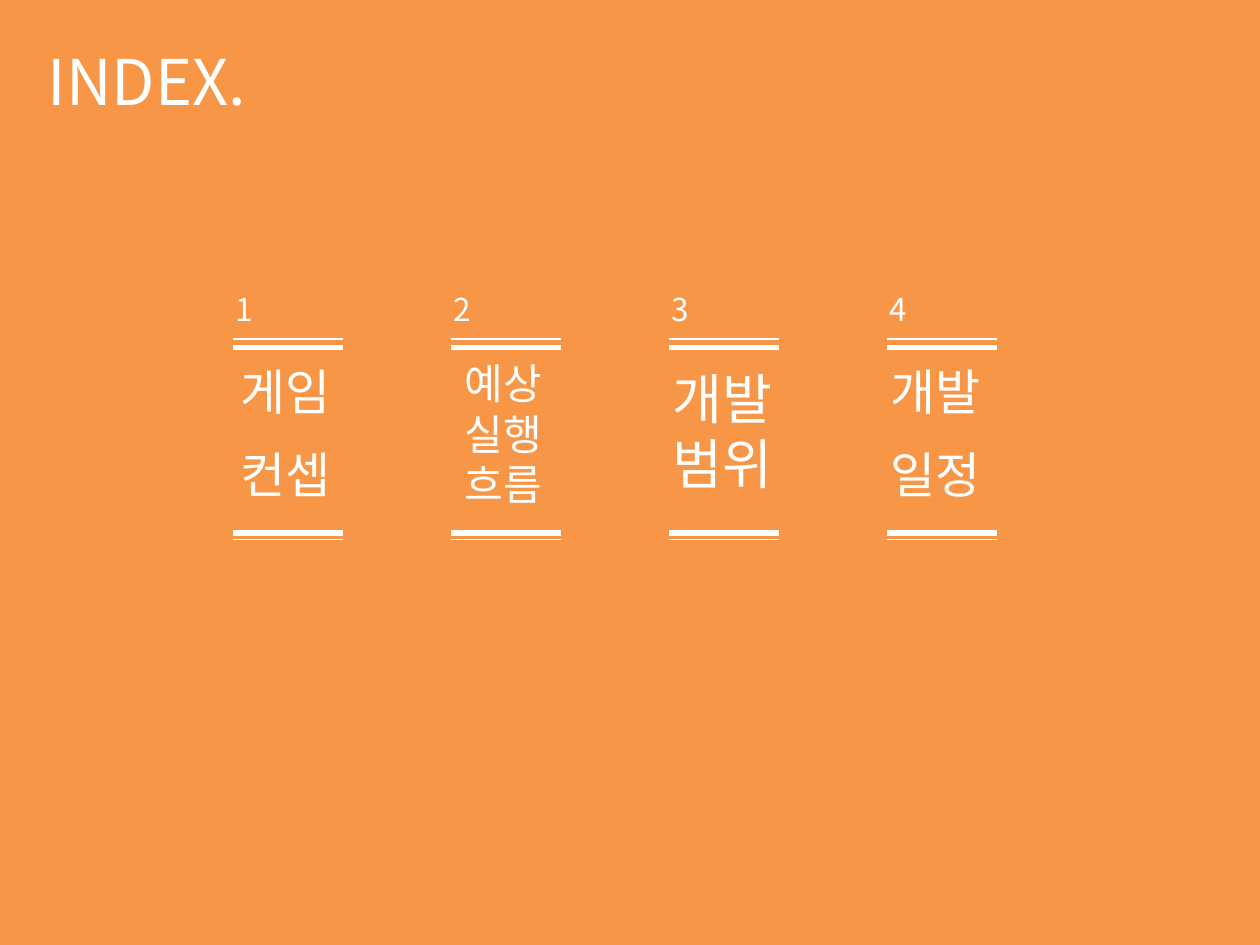
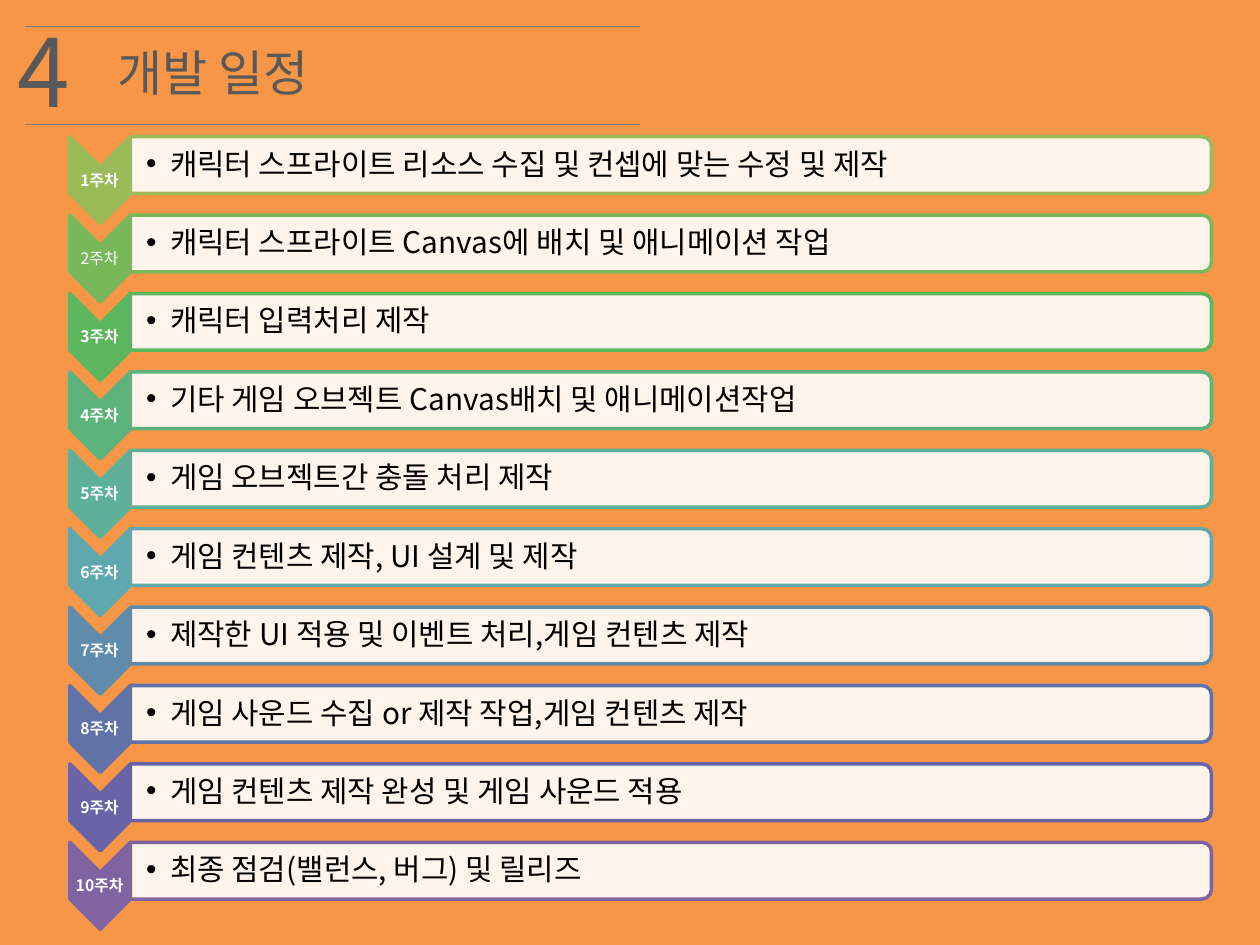
from lxml.etree import SubElement
from pptx import Presentation
from pptx.dml.color import RGBColor
from pptx.enum.shapes import MSO_CONNECTOR, MSO_SHAPE
from pptx.enum.text import MSO_ANCHOR as ANCHOR, MSO_AUTO_SIZE as AUTO_SIZE, PP_ALIGN as ALIGN
from pptx.oxml.ns import qn
from pptx.util import Inches, Pt

FONT = "Noto Sans CJK KR"
LINE_HEIGHT = 1.2
TITLE_ONLY = 5

ORANGE = RGBColor(0xF7, 0x96, 0x46)
WHITE = RGBColor(0xFF, 0xFF, 0xFF)
BLACK = RGBColor(0, 0, 0)
DARK_GRAY = RGBColor(0x59, 0x59, 0x59)
RULE_GRAY = RGBColor(0x80, 0x80, 0x80)

# Lines of the label, text size, left offset from the rules, top, gap between lines
CHAPTERS = [
    (["게임", "컨셉"], 28, -0.04, 2.82, 14),
    (["예상", "실행", "흐름"], 24, 0.01, 2.79, 0),
    (["개발", "범위"], 31, -0.07, 2.85, 0),
    (["개발", "일정"], 28, -0.07, 2.82, 14),
]
CHAPTER_LEFT, CHAPTER_PITCH, CHAPTER_WIDTH = 1.85, 1.73, 0.87
CHAPTER_RULES = [(2.69, 0.75), (2.76, 3), (4.23, 3), (4.28, 0.75)]

WEEKS = [
    ("9BBB59", "캐릭터 스프라이트 리소스 수집 및 컨셉에 맞는 수정 및 제작"),
    ("79B85A", "캐릭터 스프라이트 Canvas에 배치 및 애니메이션 작업"),
    ("5BB65D", "캐릭터 입력처리 제작"),
    ("5CB37C", "기타 게임 오브젝트 Canvas배치 및 애니메이션작업"),
    ("5EB099", "게임 오브젝트간 충돌 처리 제작"),
    ("5FA8AD", "게임 컨텐츠 제작, UI 설계 및 제작"),
    ("608CAB", "제작한 UI 적용 및 이벤트 처리,게임 컨텐츠 제작"),
    ("6172A8", "게임 사운드 수집 or 제작 작업,게임 컨텐츠 제작"),
    ("6A63A5", "게임 컨텐츠 제작 완성 및 게임 사운드 적용"),
    ("8064A2", "최종 점검(밸런스, 버그) 및 릴리즈"),
]
REGULAR_WEEK = 2
WEEK_TOP, WEEK_PITCH = 1.11, 5.6 / 9


def write_text(shape, lines, size, color, bold=False, align=ALIGN.LEFT, gap=0,
               line_height=LINE_HEIGHT, **frame_format):
    """Fill a shape with one paragraph per line; gap is the space between them."""
    frame = shape.text_frame
    frame_values = {"word_wrap": True, "auto_size": AUTO_SIZE.NONE,
                    "vertical_anchor": ANCHOR.TOP, **frame_format}
    for name, value in frame_values.items():
        setattr(frame, name, value)
    for index, line in enumerate(lines):
        paragraph = frame.add_paragraph() if index else frame.paragraphs[0]
        paragraph.alignment = align
        paragraph.line_spacing = Pt(round(size * line_height, 1))
        paragraph.space_before = Pt(gap if index else 0)
        run = paragraph.add_run()
        run.text = line
        run.font.color.rgb = color
        for name, value in {"name": FONT, "size": Pt(size), "bold": bold}.items():
            setattr(run.font, name, value)
        SubElement(run._r.get_or_add_rPr(), qn("a:ea"), typeface=FONT)


def add_text(shapes, box, lines, size, color, **text_format):
    text_box = shapes.add_textbox(*map(Inches, box))
    write_text(text_box, lines, size, color, **text_format)
    return text_box


def add_rule(shapes, left, top, width, color, weight):
    rule = shapes.add_connector(MSO_CONNECTOR.STRAIGHT, Inches(left), Inches(top),
                                Inches(left + width), Inches(top))
    rule.line.color.rgb = color
    rule.line.width = Pt(weight)
    SubElement(rule._element.spPr, qn("a:effectLst"))


def add_turned_shape(shapes, kind, box, fill, outline):
    """Add a preset shape turned a quarter clockwise; box is its place before the turn."""
    shape = shapes.add_shape(kind, *map(Inches, box))
    shape.rotation = 90
    shape.shadow.inherit = False
    shape.fill.solid()
    shape.fill.fore_color.rgb = fill
    shape.line.color.rgb = outline
    shape.line.width = Pt(2)
    return shape


def set_opacity(shape, percent):
    color = shape._element.spPr.find(qn("a:solidFill"))[0]
    SubElement(color, qn("a:alpha"), val=str(percent * 1000))


def add_bullet(paragraph, indent):
    properties = paragraph._p.get_or_add_pPr()
    properties.set("marL", str(Inches(indent)))
    properties.set("indent", str(-Inches(indent)))
    SubElement(properties, qn("a:buFont"), typeface="Arial")
    SubElement(properties, qn("a:buChar"), char="•")


def add_titled_slide(presentation, title, box, size, color):
    slide = presentation.slides.add_slide(presentation.slide_layouts[TITLE_ONLY])
    placeholder = slide.shapes.title
    for name, value in zip(("left", "top", "width", "height"), box):
        setattr(placeholder, name, Inches(value))
    write_text(placeholder, [title], size, color)
    return slide


def add_chapter(slide, number, lines, size, offset, top, gap):
    shapes = slide.shapes.add_group_shape().shapes
    left = CHAPTER_LEFT + (number - 1) * CHAPTER_PITCH
    add_text(shapes, (left + offset, top, 1.34, 1.25), lines, size, WHITE, gap=gap)
    for rule_top, weight in CHAPTER_RULES:
        add_rule(shapes, left, rule_top, CHAPTER_WIDTH, WHITE, weight)
    add_text(shapes, (left - 0.08, 2.25, 1.26, 0.4), [str(number)], 18, WHITE)


def add_week(shapes, number, color, task):
    top = WEEK_TOP + (number - 1) * WEEK_PITCH
    small_margins = {f"margin_{side}": Inches(0.01)
                     for side in ("left", "top", "right", "bottom")}
    row_format = {"line_height": LINE_HEIGHT * 0.9, "vertical_anchor": ANCHOR.MIDDLE,
                  **small_margins}
    add_turned_shape(shapes, MSO_SHAPE.CHEVRON, (0.45, top + 0.08, 0.69, 0.48), color, color)
    add_text(shapes, (0.55, top + 0.22, 0.48, 0.21), [f"{number}주차"], 9, WHITE,
             bold=number != REGULAR_WEEK, align=ALIGN.CENTER, **row_format)
    bar = add_turned_shape(shapes, MSO_SHAPE.ROUND_2_SAME_RECTANGLE,
                           (5.1, top - 4.09, 0.45, 8.58), WHITE, color)
    set_opacity(bar, 90)
    row_format["margin_left"] = Inches(0.13)
    task_box = add_text(shapes, (1.03, top, 8.55, 0.4), [task], 17, BLACK, **row_format)
    add_bullet(task_box.text_frame.paragraphs[0], 0.19)


def build_index(presentation):
    slide = add_titled_slide(presentation, "INDEX.", (0.28, 0.29, 3.39, 0.71), 36, WHITE)
    for number, chapter in enumerate(CHAPTERS, 1):
        add_chapter(slide, number, *chapter)


def build_schedule(presentation):
    slide = add_titled_slide(presentation, "개발 일정", (0.83, 0.29, 4.49, 0.57), 28, DARK_GRAY)
    add_text(slide.shapes, (0.04, 0.05, 1.18, 1.01), ["4"], 54, DARK_GRAY)
    for top in (0.21, 0.99):
        add_rule(slide.shapes, 0.2, top, 4.88, RULE_GRAY, 0.75)
    week_shapes = slide.shapes.add_group_shape().shapes
    for number, (color, task) in enumerate(WEEKS, 1):
        add_week(week_shapes, number, RGBColor.from_string(color), task)


def main():
    presentation = Presentation()
    presentation.slide_width = Inches(10)
    presentation.slide_height = Inches(7.5)
    background = presentation.slide_master.background.fill
    background.solid()
    background.fore_color.rgb = ORANGE
    build_index(presentation)
    build_schedule(presentation)
    presentation.save("out.pptx")


if __name__ == "__main__":
    main()
